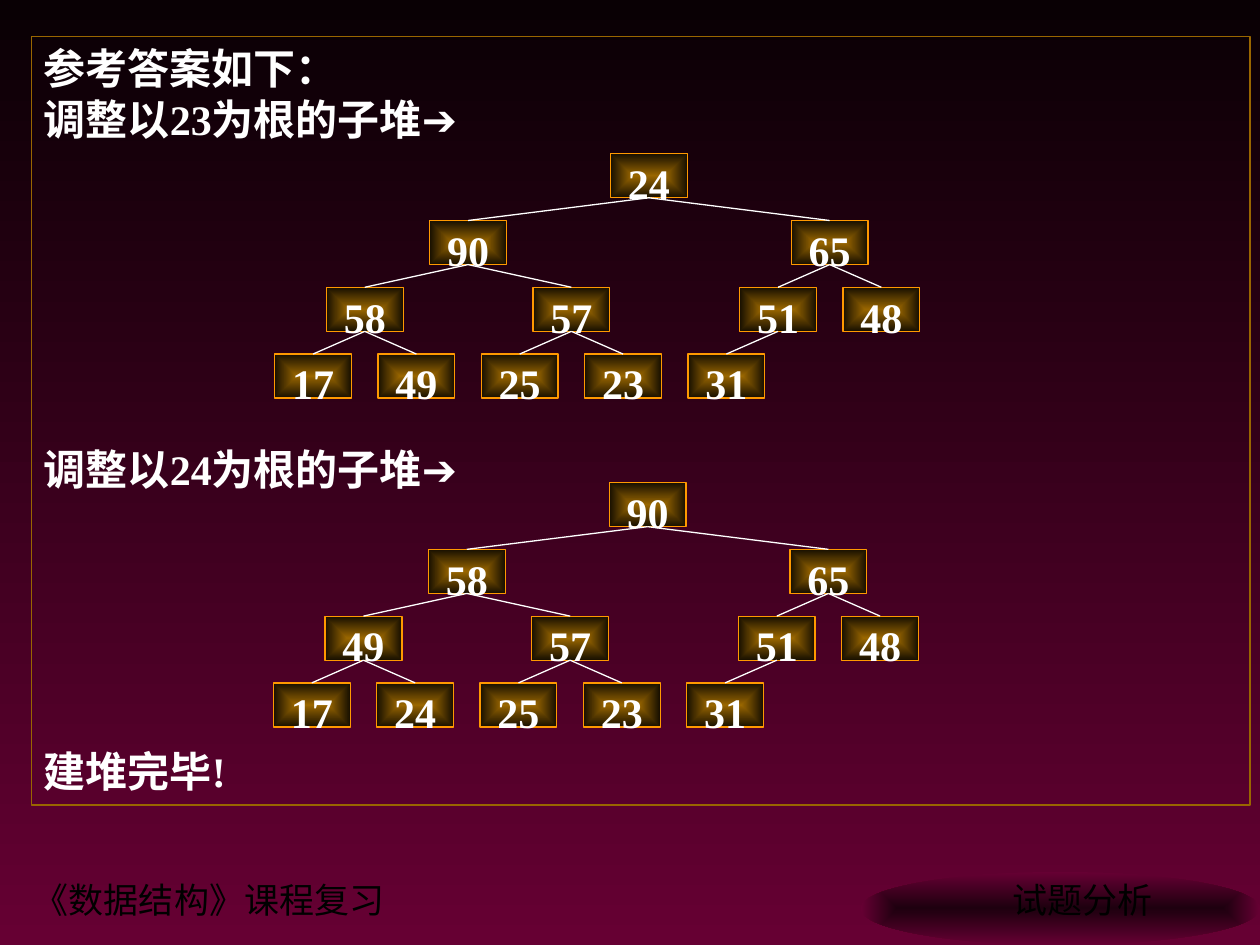
from dataclasses import dataclass

from lxml.etree import SubElement
from pptx import Presentation
from pptx.dml.color import RGBColor
from pptx.enum.lang import MSO_LANGUAGE_ID
from pptx.enum.shapes import MSO_CONNECTOR, MSO_SHAPE
from pptx.enum.text import MSO_ANCHOR, PP_ALIGN
from pptx.oxml.ns import qn
from pptx.util import Inches, Pt

WHITE = RGBColor(0xFF, 0xFF, 0xFF)
BLACK = RGBColor(0x00, 0x00, 0x00)
NIGHT = RGBColor(0x09, 0x00, 0x04)
WINE = RGBColor(0x66, 0x00, 0x33)
DARK_WINE = RGBColor(0x1E, 0x00, 0x0F)
BRONZE = RGBColor(0x99, 0x66, 0x00)
DARK_BRONZE = RGBColor(0x17, 0x0F, 0x00)
ORANGE = RGBColor(0xFF, 0x99, 0x00)

SERIF = "Times New Roman"
NODE_WIDTH, NODE_HEIGHT = 0.61, 0.35
COLUMN_STEP, ROW_STEP = 0.41, 0.53
NODE_COLUMNS = (6.5, 3, 10, 1, 5, 9, 11, 0, 2, 4, 6, 8)


@dataclass(frozen=True)
class Heap:
    left: float
    top: float
    values: tuple[int, ...]


@dataclass(frozen=True)
class Line:
    text: str
    font: str = SERIF
    arrow: str = ""
    space_before: float = 0


HEAPS = (
    Heap(2.18, 1.22, (24, 90, 65, 58, 57, 51, 48, 17, 49, 25, 23, 31)),
    Heap(2.17, 3.83, (90, 58, 65, 49, 57, 51, 48, 17, 24, 25, 23, 31)),
)
ANSWER = (
    Line("参考答案如下：", font="Courier New"),
    Line("调整以23为根的子堆", arrow="➔"),
    Line("调整以24为根的子堆", arrow="➔", space_before=171.5),
    Line("建堆完毕!", space_before=143.5),
)


def add_span(para, text: str, *, font=SERIF, size=24, color=WHITE, bold=True) -> None:
    span = para.add_run()
    span.text = text
    span.font.name = font
    span.font.size = Pt(size)
    span.font.bold = bold
    span.font.color.rgb = color
    span.font.language_id = MSO_LANGUAGE_ID.SIMPLIFIED_CHINESE


def set_gradient(fill, first: RGBColor, last: RGBColor) -> None:
    fill.gradient()
    for stop, color, position in zip(fill.gradient_stops, (first, last), (0, 1)):
        stop.color.rgb = color
        stop.position = position


def set_rectangular_gradient(shape, center: RGBColor, edge: RGBColor) -> None:
    set_gradient(shape.fill, center, edge)
    gradient = shape._element.spPr.find(qn("a:gradFill"))
    gradient.remove(gradient.find(qn("a:lin")))
    spread = SubElement(gradient, qn("a:path"), {"path": "rect"})
    sides = {side: "50000" for side in ("l", "t", "r", "b")}
    SubElement(spread, qn("a:fillToRect"), sides)


def add_footer(page, text: str, left: float, width: float) -> None:
    box = page.shapes.add_textbox(Inches(left), Inches(6.92), Inches(width), Inches(0.44))
    box.text_frame.word_wrap = True
    add_span(box.text_frame.paragraphs[0], text, size=20, color=BLACK, bold=False)


def add_ellipse(page) -> None:
    ellipse = page.shapes.add_shape(
        MSO_SHAPE.OVAL, Inches(6.83), Inches(6.92), Inches(3.17), Inches(0.58)
    )
    ellipse.shadow.inherit = False
    ellipse.line.fill.background()
    set_rectangular_gradient(ellipse, DARK_WINE, WINE)


def add_answer(page, lines: tuple[Line, ...]) -> None:
    frame = page.shapes.add_shape(
        MSO_SHAPE.RECTANGLE, Inches(0.25), Inches(0.29), Inches(9.67), Inches(6.1)
    )
    frame.shadow.inherit = False
    frame.fill.background()
    frame.line.color.rgb = BRONZE
    frame.line.width = Pt(1)
    text_frame = frame.text_frame
    text_frame.word_wrap = True
    text_frame.vertical_anchor = MSO_ANCHOR.TOP
    for index, line in enumerate(lines):
        para = text_frame.add_paragraph() if index else text_frame.paragraphs[0]
        para.alignment = PP_ALIGN.JUSTIFY
        if line.space_before:
            para.space_before = Pt(line.space_before)
        add_span(para, line.text, font=line.font)
        if line.arrow:
            add_span(para, line.arrow, font="Arial")


def add_node(group, value: int, left: float, top: float):
    node = group.shapes.add_shape(
        MSO_SHAPE.RECTANGLE, Inches(left), Inches(top), Inches(NODE_WIDTH), Inches(NODE_HEIGHT)
    )
    node.shadow.inherit = False
    set_rectangular_gradient(node, BRONZE, DARK_BRONZE)
    node.line.color.rgb = ORANGE
    node.line.width = Pt(0.75)
    text_frame = node.text_frame
    text_frame.word_wrap = True
    text_frame.vertical_anchor = MSO_ANCHOR.TOP
    text_frame.margin_left = text_frame.margin_right = text_frame.margin_bottom = 0
    text_frame.margin_top = Inches(0.03)
    para = text_frame.paragraphs[0]
    para.alignment = PP_ALIGN.CENTER
    add_span(para, str(value))
    return node


def add_branch(group, parent, child) -> None:
    branch = group.shapes.add_connector(MSO_CONNECTOR.STRAIGHT, 0, 0, 0, 0)
    branch.begin_connect(parent, 2)
    branch.end_connect(child, 0)
    branch.line.color.rgb = WHITE
    branch.line.width = Pt(0.75)
    SubElement(branch._element.spPr, qn("a:effectLst"))


def add_heap(page, heap: Heap) -> None:
    group = page.shapes.add_group_shape()
    nodes = []
    for index, (value, column) in enumerate(zip(heap.values, NODE_COLUMNS)):
        level = (index + 1).bit_length() - 1
        left = heap.left + column * COLUMN_STEP
        nodes.append(add_node(group, value, left, heap.top + level * ROW_STEP))
    for index in range(1, len(nodes)):
        add_branch(group, nodes[(index - 1) // 2], nodes[index])
    left, top = nodes[7].left, nodes[0].top
    width = nodes[6].left + nodes[6].width - left
    height = nodes[7].top + nodes[7].height - top
    transform = group._element.grpSpPr.find(qn("a:xfrm"))
    for offset in ("a:off", "a:chOff"):
        transform.find(qn(offset)).set("x", str(left))
        transform.find(qn(offset)).set("y", str(top))
    for extent in ("a:ext", "a:chExt"):
        transform.find(qn(extent)).set("cx", str(width))
        transform.find(qn(extent)).set("cy", str(height))


def main() -> None:
    deck = Presentation()
    deck.slide_width, deck.slide_height = Inches(10), Inches(7.5)
    page = deck.slides.add_slide(deck.slide_layouts[6])
    set_gradient(page.background.fill, NIGHT, WINE)
    page.background.fill.gradient_angle = 270
    add_footer(page, "《数据结构》课程复习", 0.17, 7.25)
    add_ellipse(page)
    add_footer(page, "试题分析", 7.94, 1.6)
    add_answer(page, ANSWER)
    for heap in HEAPS:
        add_heap(page, heap)
    deck.save("out.pptx")


if __name__ == "__main__":
    main()
